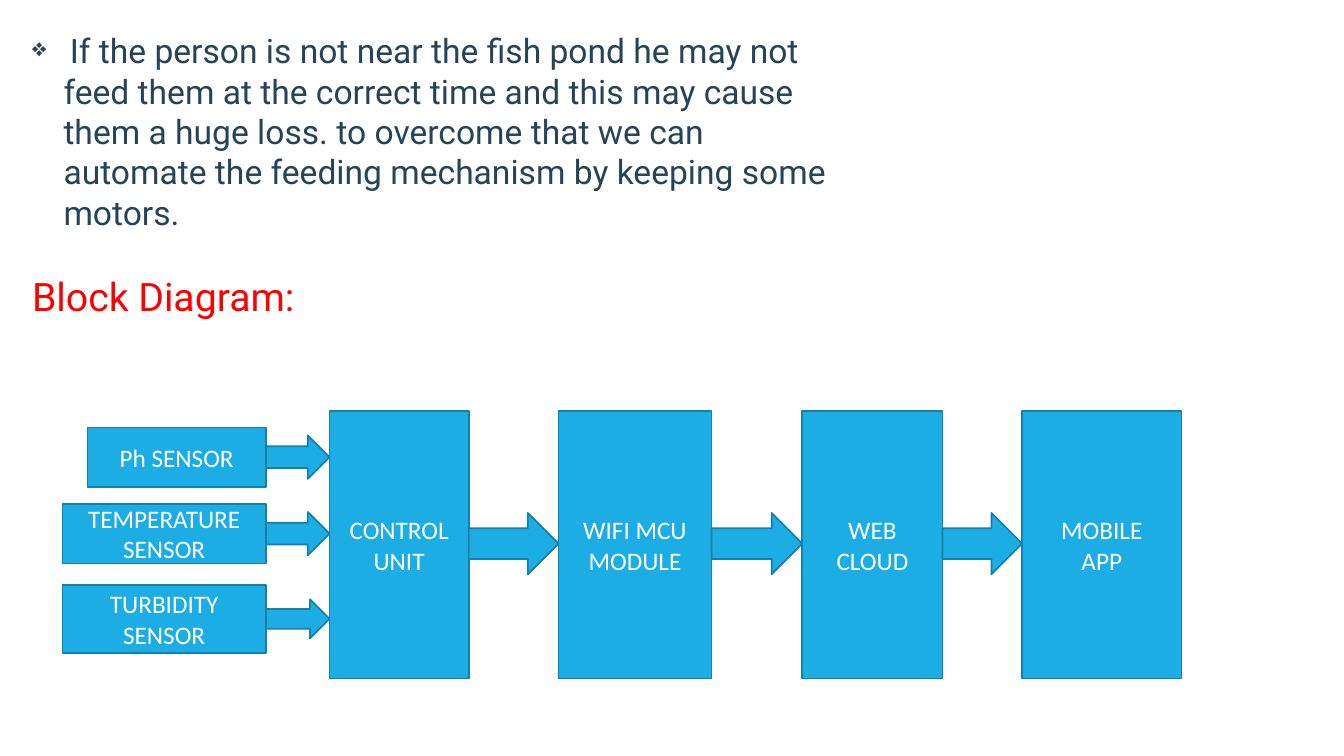
from lxml.etree import SubElement
from pptx import Presentation
from pptx.dml.color import RGBColor
from pptx.enum.shapes import MSO_SHAPE as Shape
from pptx.enum.text import MSO_ANCHOR as Anchor, PP_ALIGN as Align
from pptx.oxml.ns import qn
from pptx.util import Pt

COLORS = {"text": "264457", "heading": "FF0000", "block": "1CADE4",
          "outline": "1580A9", "label": "FFFFFF"}
FORMATS = {
    "gap": {"name": "Roboto", "size": Pt(18), "color": "text"},
    "body": {"name": "Roboto", "size": Pt(24), "color": "text"},
    "heading": {"name": "Roboto", "size": Pt(28), "color": "heading"},
    "label": {"name": "Calibri", "size": Pt(18), "color": "label"},
}
PROBLEM = ("If the person is not near the fish pond he may not feed them at the "
           "correct time and this may cause them a huge loss. to overcome that we "
           "can automate the feeding mechanism by keeping some motors.")
# Label, left, top and height inside the diagram, height of its arrow
SENSORS = [("Ph SENSOR", 18, 11.5, 42.5, 31),
           ("TEMPERATURE SENSOR", 0, 66.2, 42.5, 31),
           ("TURBIDITY SENSOR", 0, 123.8, 49, 28)]
SENSOR_RIGHT = 145.4
# Label lines, left inside the diagram, width
STAGES = [(["CONTROL UNIT"], 190.8, 99.4),
          (["WIFI MCU", "MODULE"], 354.3, 109.4),
          (["WEB", "CLOUD"], 528.5, 100.1),
          (["MOBILE", "APP"], 685.5, 113.8)]
STAGE_ARROW_HEIGHT = 43.8


def add_run(paragraph, text, style):
    run = paragraph.add_run()
    run.text = text
    for key, value in FORMATS[style].items():
        if key == "color":
            run.font.color.rgb = RGBColor.from_string(COLORS[value])
        else:
            setattr(run.font, key, value)


def add_block(slide, kind, left, top, width, height, lines=()):
    shape = slide.shapes.add_shape(kind, Pt(left), Pt(top), Pt(width), Pt(height))
    shape.shadow.inherit = False
    shape.fill.solid()
    shape.fill.fore_color.rgb = RGBColor.from_string(COLORS["block"])
    shape.line.color.rgb = RGBColor.from_string(COLORS["outline"])
    shape.line.width = Pt(1.25)
    frame = shape.text_frame
    frame.word_wrap = True
    frame.vertical_anchor = Anchor.MIDDLE
    for index, line in enumerate(lines):
        paragraph = frame.add_paragraph() if index else frame.paragraphs[0]
        paragraph.alignment = Align.CENTER
        add_run(paragraph, line, "label")


def add_arrow(slide, left, right, middle, height):
    add_block(slide, Shape.RIGHT_ARROW, left, middle - height / 2,
              right - left, height)


def add_introduction(slide, left, top, width, height):
    box = slide.shapes.add_textbox(Pt(left), Pt(top), Pt(width), Pt(height))
    frame = box.text_frame
    frame.word_wrap = True

    # Bulleted problem statement
    paragraph = frame.paragraphs[0]
    properties = paragraph._p.get_or_add_pPr()
    properties.set("marL", str(Pt(22.5)))
    properties.set("indent", str(-Pt(22.5)))
    SubElement(properties, qn("a:buChar")).set("char", "❖")
    add_run(paragraph, " ", "gap")
    add_run(paragraph, PROBLEM, "body")

    # Diagram heading
    heading = frame.add_paragraph()
    heading.space_before = Pt(28.8)
    add_run(heading, "Block Diagram:", "heading")


def add_diagram(slide, left, top, height):
    # Sensors feeding the first stage
    sensor_right = left + SENSOR_RIGHT
    for label, offset, drop, sensor_height, arrow_height in SENSORS:
        add_block(slide, Shape.RECTANGLE, left + offset, top + drop,
                  SENSOR_RIGHT - offset, sensor_height, [label])
        add_arrow(slide, sensor_right, left + STAGES[0][1],
                  top + drop + sensor_height / 2, arrow_height)

    # Chain of stages, with an arrow filling each gap
    previous_right = None
    for lines, offset, width in STAGES:
        stage_left = left + offset
        if previous_right is not None:
            add_arrow(slide, previous_right, stage_left,
                      top + height / 2 - 0.9, STAGE_ARROW_HEIGHT)
        add_block(slide, Shape.RECTANGLE, stage_left, top, width, height, lines)
        previous_right = stage_left + width


def main():
    presentation = Presentation()
    presentation.slide_width = Pt(960)
    presentation.slide_height = Pt(540)
    slide = presentation.slides.add_slide(presentation.slide_layouts[6])
    add_introduction(slide, 15.8, 18, 598.3, 216)
    add_diagram(slide, 44.6, 293.8, 190.8)
    presentation.save("out.pptx")


if __name__ == "__main__":
    main()
